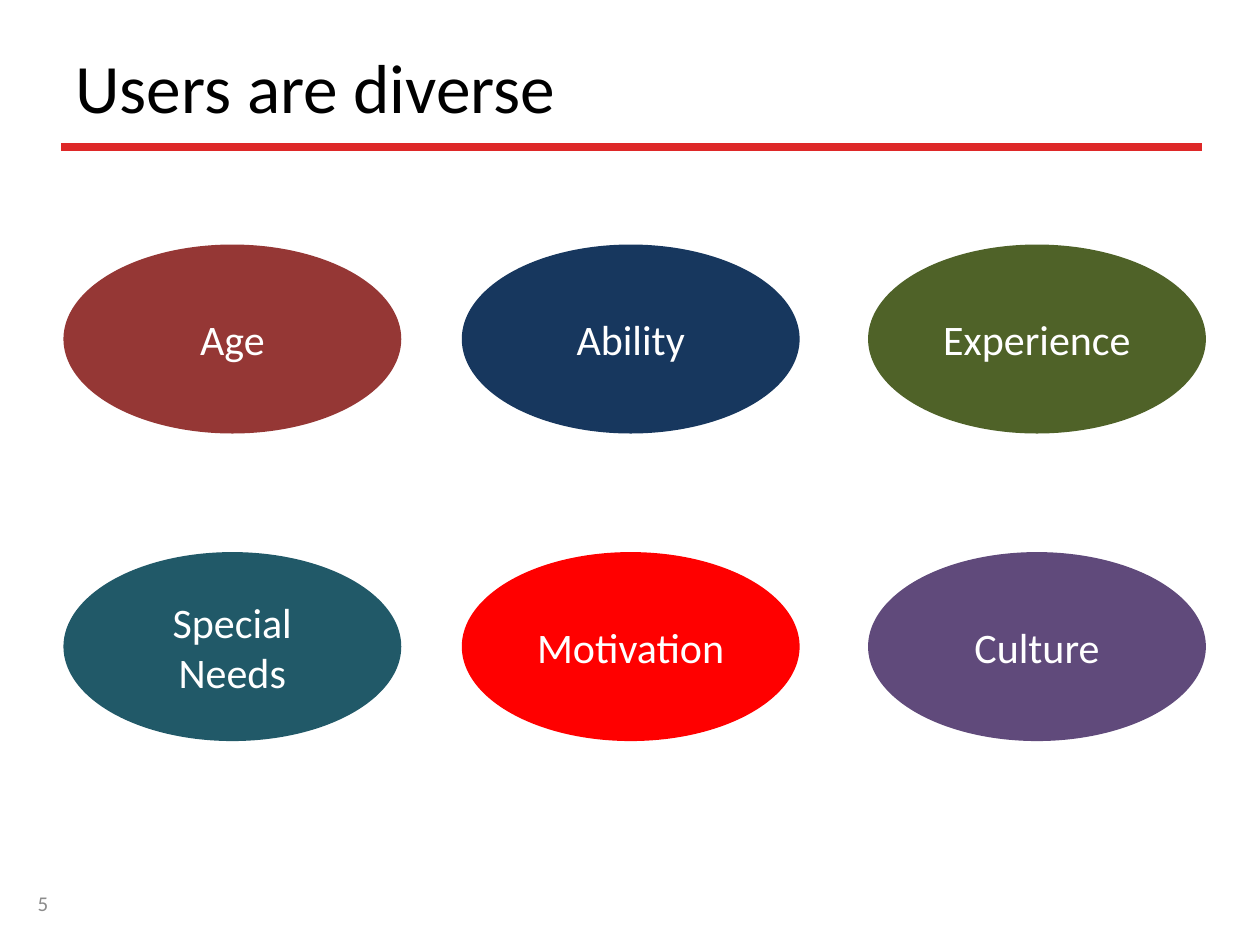
from lxml.etree import SubElement
from pptx import Presentation
from pptx.dml.color import RGBColor
from pptx.enum.shapes import MSO_CONNECTOR, MSO_SHAPE
from pptx.enum.text import MSO_ANCHOR, PP_ALIGN
from pptx.oxml.ns import qn
from pptx.util import Cm, Pt

FONT = "Calibri"
TITLE = "Users are diverse"
PAGE_NUMBER = "5"
TRAITS = [
    [("Age", "953735"), ("Ability", "17375E"), ("Experience", "4F6228")],
    [("Special Needs", "215968"), ("Motivation", "FF0000"), ("Culture", "604A7B")],
]
COLUMN_LEFTS = [1.28, 9.31, 17.5]
ROW_TOPS = [4.93, 11.13]
OVAL_WIDTH, OVAL_HEIGHT = 6.81, 3.81


def color(value):
    return RGBColor.from_string(value)


def write(shape, text, size, ink, align=PP_ALIGN.LEFT):
    frame = shape.text_frame
    frame.word_wrap = True
    frame.vertical_anchor = MSO_ANCHOR.MIDDLE
    para = frame.paragraphs[0]
    para.alignment = align
    span = para.add_run()
    span.text = text
    span.font.name = FONT
    span.font.size = Pt(size)
    span.font.color.rgb = color(ink)


def add_label(page, text, left, top, width, height, size, ink):
    box = page.shapes.add_textbox(Cm(left), Cm(top), Cm(width), Cm(height))
    write(box, text, size, ink)


def add_rule(page, left, right, top):
    """Draw the red line under the title."""
    rule = page.shapes.add_connector(
        MSO_CONNECTOR.STRAIGHT, Cm(left), Cm(top), Cm(right), Cm(top))
    rule.line.color.rgb = color("DE2828")
    rule.line.width = Pt(4.5)
    SubElement(rule._element.spPr, qn("a:effectLst"))


def add_trait(page, text, fill, left, top):
    oval = page.shapes.add_shape(
        MSO_SHAPE.OVAL, Cm(left), Cm(top), Cm(OVAL_WIDTH), Cm(OVAL_HEIGHT))
    oval.shadow.inherit = False
    oval.fill.solid()
    oval.fill.fore_color.rgb = color(fill)
    oval.line.fill.background()
    write(oval, text, 24, "FFFFFF", PP_ALIGN.CENTER)


def main():
    deck = Presentation()
    deck.slide_width, deck.slide_height = Cm(25.4), Cm(19.05)
    page = deck.slides.add_slide(deck.slide_layouts[6])

    add_label(page, PAGE_NUMBER, 0.51, 17.7, 5.92, 1.02, 12, "8C8C8C")
    add_rule(page, 1.23, 24.23, 2.97)
    add_label(page, TITLE, 1.27, 0.76, 22.86, 1.96, 39.6, "000000")
    for top, traits in zip(ROW_TOPS, TRAITS):
        for left, (text, fill) in zip(COLUMN_LEFTS, traits):
            add_trait(page, text, fill, left, top)

    deck.save("out.pptx")


if __name__ == "__main__":
    main()
